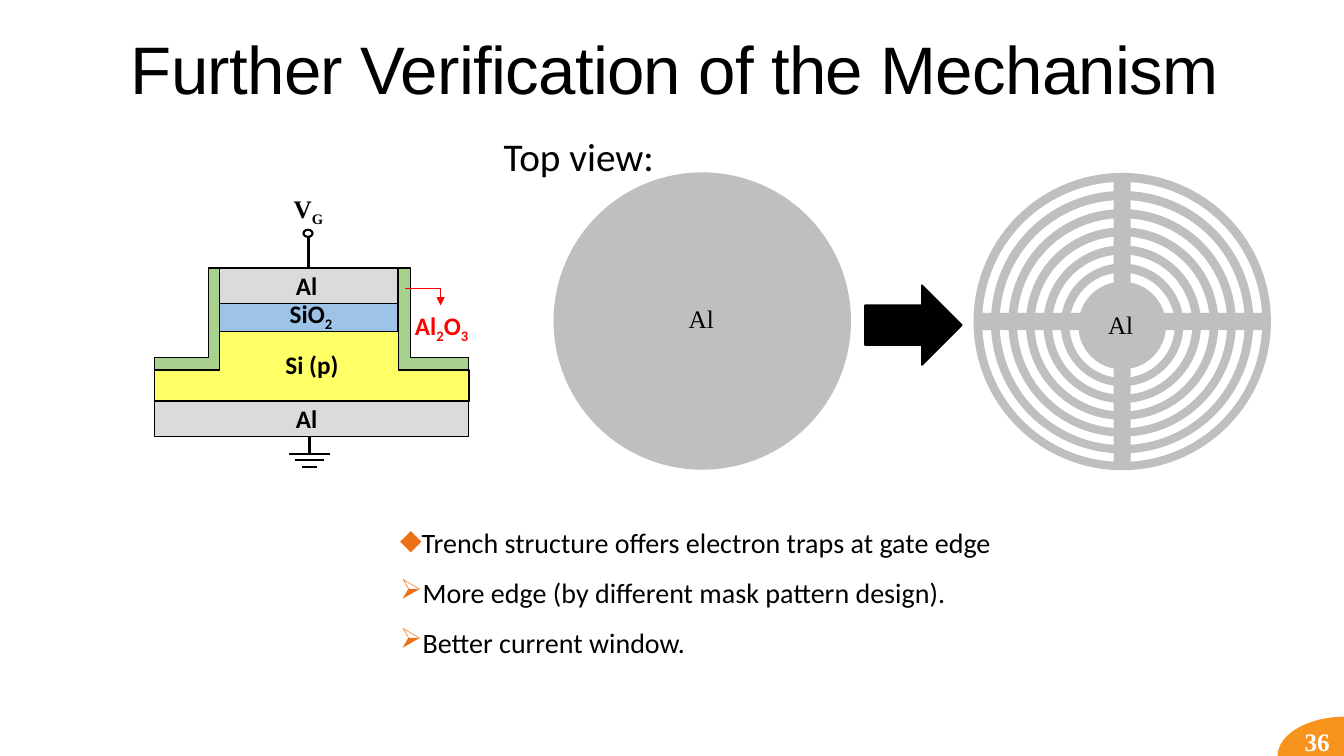
import pptx
import pptx.dml.color
import pptx.enum.shapes
import pptx.enum.text
import pptx.oxml
import pptx.oxml.ns
import pptx.util
from pptx.util import Inches

SHAPE = pptx.enum.shapes.MSO_SHAPE
LINK = pptx.enum.shapes.MSO_CONNECTOR
ALIGN = pptx.enum.text.PP_ALIGN
ANCHOR = pptx.enum.text.MSO_ANCHOR

BLACK, WHITE, RED, ORANGE = "000000", "FFFFFF", "FF0000", "EC7016"
GATE_GREY, METAL, OXIDE = "BFBFBF", "DBDBDB", "9DC3E6"
SILICON, ALUMINA = "FFFF66", "A9D18E"
SERIF, SANS = "Times New Roman", "Calibri"

# Device cross-section: edges of the stack and of the substrate
STACK_LEFT, STACK_RIGHT = 2.18, 3.95
BASE_LEFT, BASE_RIGHT = 1.53, 4.65
GATE_TOP, OXIDE_TOP, SILICON_TOP = 2.66, 3.01, 3.29
SHOULDER, CONTACT_TOP, CONTACT_BOTTOM = 3.67, 3.98, 4.33


def color(hex_text):
    return pptx.dml.color.RGBColor.from_string(hex_text)


def add_xml(parent, tag, **attributes):
    child = pptx.oxml.parse_xml(f"<a:{tag} {pptx.oxml.ns.nsdecls('a')}/>")
    for name, value in attributes.items():
        child.set(name, value)
    parent.append(child)
    return child


def paint(shape, fill, line_width):
    shape.shadow.inherit = False
    shape.fill.solid()
    shape.fill.fore_color.rgb = color(fill)
    if line_width:
        shape.line.color.rgb = color(BLACK)
        shape.line.width = pptx.util.Pt(line_width)
    else:
        shape.line.fill.background()
    return shape


def add_figure(shapes, kind, area, fill, line_width=0):
    return paint(shapes.add_shape(kind, *map(Inches, area)), fill, line_width)


def add_outline(shapes, points, fill):
    start, *others = [(Inches(x), Inches(y)) for x, y in points]
    builder = shapes.build_freeform(*start)
    builder.add_line_segments(others, close=True)
    return paint(builder.convert_to_shape(), fill, 1)


def add_line(shapes, start, end, kind=LINK.STRAIGHT, line_color=BLACK, width=1.5):
    line = shapes.add_connector(kind, *map(Inches, start + end))
    line.line.color.rgb = color(line_color)
    line.line.width = pptx.util.Pt(width)
    add_xml(line._element.spPr, "effectLst")
    return line


def add_span(para, text, size, font, text_color=BLACK, bold=False, subscript=False):
    span = para.add_run()
    span.text = text
    span.font.size = pptx.util.Pt(size)
    span.font.name = font
    span.font.bold = bold
    span.font.color.rgb = color(text_color)
    if subscript:
        span.font._element.set("baseline", "-25000")
    return span


def add_box(shapes, area, wrap=True):
    box = shapes.add_textbox(*map(Inches, area))
    box.text_frame.word_wrap = wrap
    return box.text_frame


def add_label(shapes, area, text, size=18, font=SANS, text_color=BLACK, bold=True):
    """Centred label; underscores in the text separate base and subscript parts."""
    para = add_box(shapes, area).paragraphs[0]
    para.alignment = ALIGN.CENTER
    for index, part in enumerate(text.split("_")):
        add_span(para, part, size, font, text_color, bold, subscript=index % 2 == 1)


def add_title(shapes):
    frame = add_box(shapes, (1.2, 0.2, 11, 1.06))
    frame.vertical_anchor = ANCHOR.MIDDLE
    para = frame.paragraphs[0]
    para.line_spacing = 0.85
    span = add_span(para, "Further Verification of the Mechanism", 48, "Arial")
    span.font._element.set("spc", "-50")


def add_bullets(shapes, items):
    frame = add_box(shapes, (3.97, 5.2, 6.03, 1.59))
    frame.margin_left = frame.margin_right = 0
    for index, (mark, text) in enumerate(items):
        para = frame.add_paragraph() if index else frame.paragraphs[0]
        para.line_spacing = 0.9
        para.space_before = pptx.util.Pt(12)
        para.space_after = pptx.util.Pt(2)
        layout = para._p.get_or_add_pPr()
        layout.set("marL", str(Inches(0.1)))
        layout.set("indent", str(-Inches(0.1)))
        add_xml(add_xml(layout, "buClr"), "srgbClr", val=ORANGE)
        add_xml(layout, "buChar", char=mark)
        add_span(para, text, 20, SANS)


def add_page_number(shapes):
    corner = add_figure(shapes, SHAPE.PIE, (12.67, 7.11, 1.34, 0.79), "F8931D")
    corner.adjustments[0] = 107.68
    corner.adjustments[1] = 162
    frame = add_box(shapes, (12.84, 7.16, 0.5, 0.4), wrap=False)
    add_span(frame.paragraphs[0], "36", 18, SERIF, WHITE, bold=True)


def add_layer(shapes, left, top, right, bottom, fill):
    add_figure(shapes, SHAPE.RECTANGLE, (left, top, right - left, bottom - top), fill, 1)


def add_device(shapes):
    # Layers of the stack
    add_layer(shapes, STACK_LEFT, GATE_TOP, STACK_RIGHT, OXIDE_TOP, METAL)
    add_outline(shapes, [
        (STACK_LEFT, SILICON_TOP), (STACK_RIGHT, SILICON_TOP),
        (STACK_RIGHT, SHOULDER), (BASE_RIGHT, SHOULDER),
        (BASE_RIGHT, CONTACT_TOP), (BASE_LEFT, CONTACT_TOP),
        (BASE_LEFT, SHOULDER), (STACK_LEFT, SHOULDER)], SILICON)
    add_layer(shapes, STACK_LEFT, OXIDE_TOP, STACK_RIGHT, SILICON_TOP, OXIDE)
    add_layer(shapes, BASE_LEFT, CONTACT_TOP, BASE_RIGHT, CONTACT_BOTTOM, METAL)

    # Alumina on both side walls
    for inner, outer, end in ((STACK_LEFT, 2.07, BASE_LEFT), (STACK_RIGHT, 4.07, BASE_RIGHT)):
        add_outline(shapes, [
            (inner, GATE_TOP), (outer, GATE_TOP), (outer, 3.55),
            (end, 3.55), (end, SHOULDER), (inner, SHOULDER)], ALUMINA)

    # Gate terminal and ground
    add_figure(shapes, SHAPE.OVAL, (3.01, 2.28, 0.09, 0.07), WHITE, 1.5)
    add_line(shapes, (3.06, 2.35), (3.06, GATE_TOP))
    add_line(shapes, (3.07, CONTACT_BOTTOM), (3.07, 4.5))
    for y, half in ((4.5, 0.2), (4.56, 0.14), (4.63, 0.07)):
        add_line(shapes, (3.07 - half, y), (3.07 + half, y))

    # Pointer to the alumina
    pointer = add_line(shapes, (4.02, 2.86), (4.37, 3.03), LINK.ELBOW, RED, 1)
    pointer._element.spPr.prstGeom.set("prst", "bentConnector2")
    add_xml(pointer.line._get_or_add_ln(), "tailEnd", type="triangle")

    # Labels
    add_label(shapes, (2.69, 2.63, 0.7, 0.4), "Al")
    add_label(shapes, (2.63, 2.91, 0.91, 0.4), "SiO_2")
    add_label(shapes, (2.58, 3.42, 1.03, 0.4), "Si (p)")
    add_label(shapes, (2.69, 3.95, 0.7, 0.4), "Al")
    add_label(shapes, (3.96, 3.03, 0.84, 0.4), "Al_2_O_3", text_color=RED)
    add_label(shapes, (2.78, 1.87, 0.56, 0.4), "V_G", font=SERIF)


def add_plain_gate(shapes):
    add_figure(shapes, SHAPE.OVAL, (5.49, 1.71, 2.95, 2.95), GATE_GREY)
    add_label(shapes, (6.32, 2.96, 1.27, 0.4), "Al", font=SERIF, bold=False)


def add_ring_gate(shapes):
    center_x, center_y = 11.13, 3.19
    outer, inner, steps = 2.95, 0.87, 12
    # Nested discs in alternating colours, drifting slightly downwards
    for index in range(steps + 1):
        size = outer - index * (outer - inner) / steps
        top = center_y + index * 0.04 / steps - size / 2
        fill = WHITE if index % 2 else GATE_GREY
        add_figure(shapes, SHAPE.OVAL, (center_x - size / 2, top, size, size), fill)
    # Cross bars
    for width, height in ((2.87, 0.17), (0.17, 2.87)):
        area = (center_x - width / 2, center_y - height / 2, width, height)
        add_figure(shapes, SHAPE.RECTANGLE, area, GATE_GREY)
    add_label(shapes, (10.48, 3.02, 1.27, 0.4), "Al", font=SERIF, bold=False)


def main():
    deck = pptx.Presentation()
    deck.slide_width, deck.slide_height = Inches(13.33), Inches(7.5)
    page = deck.slides.add_slide(deck.slide_layouts[6])

    add_page_number(page.shapes)
    add_title(page.shapes)
    add_bullets(page.shapes, [
        ("◆", "Trench structure offers electron traps at gate edge"),
        ("➢", "More edge (by different mask pattern design)."),
        ("➢", "Better current window.")])

    for draw in (add_plain_gate, add_device, add_ring_gate):
        draw(page.shapes.add_group_shape().shapes)
    add_label(page.shapes, (4.85, 1.26, 1.78, 0.57), "Top view:", 28, bold=False)
    add_figure(page.shapes, SHAPE.RIGHT_ARROW, (8.58, 2.83, 0.96, 0.79), BLACK, 1.25)

    deck.save("out.pptx")


if __name__ == "__main__":
    main()
